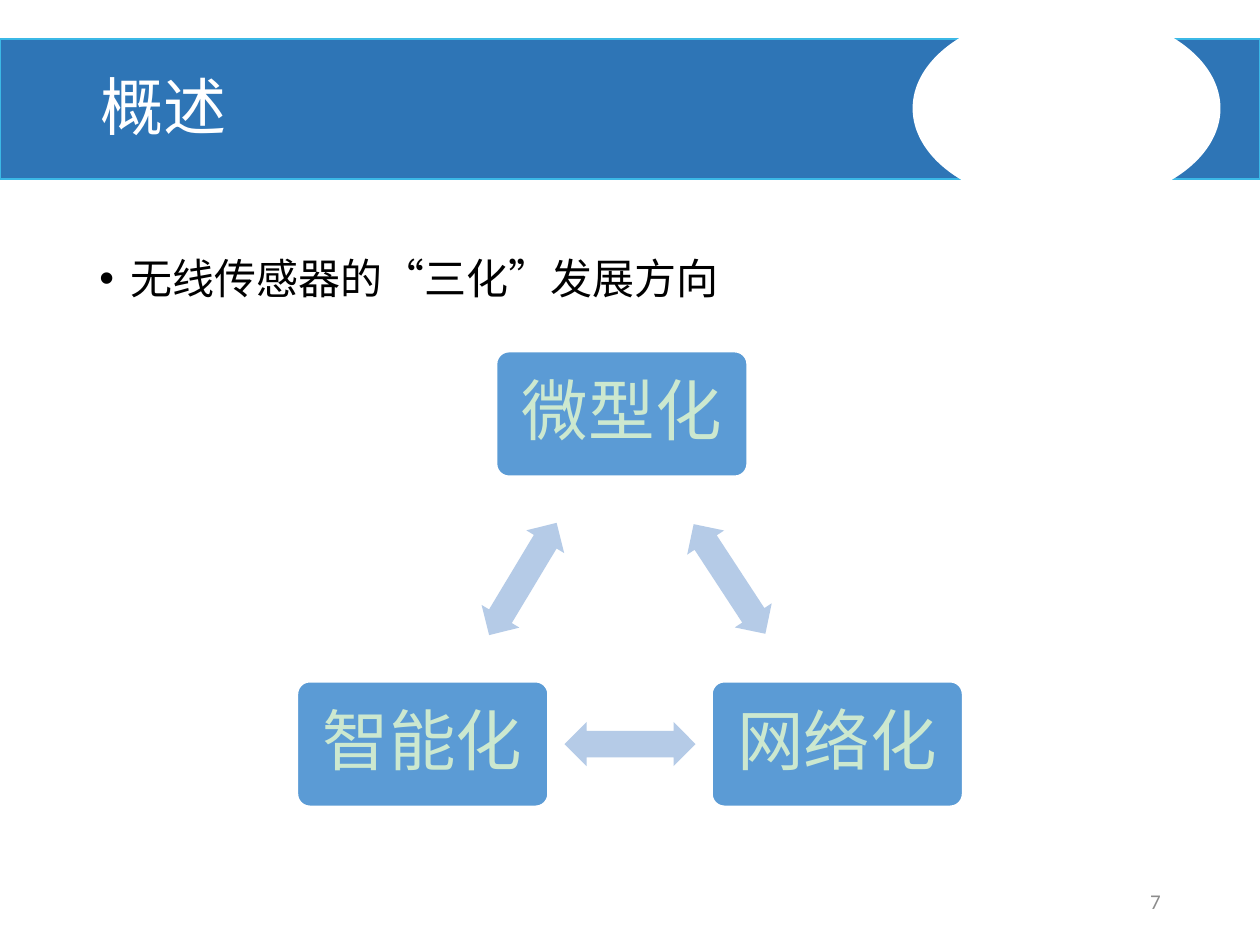
from typing import NamedTuple

from lxml import etree
from pptx import Presentation
from pptx.dml.color import RGBColor
from pptx.enum.shapes import MSO_SHAPE
from pptx.enum.text import MSO_ANCHOR, PP_ALIGN
from pptx.oxml.ns import qn
from pptx.util import Inches, Pt

RECT, ELLIPSE = MSO_SHAPE.RECTANGLE, MSO_SHAPE.OVAL
ROUND_RECT, ARROW = MSO_SHAPE.ROUNDED_RECTANGLE, MSO_SHAPE.LEFT_RIGHT_ARROW
TOP, MIDDLE = MSO_ANCHOR.TOP, MSO_ANCHOR.MIDDLE
LEFT, CENTER, RIGHT = PP_ALIGN.LEFT, PP_ALIGN.CENTER, PP_ALIGN.RIGHT

WHITE = RGBColor(0xFF, 0xFF, 0xFF)
BLACK = RGBColor(0x00, 0x00, 0x00)
GRAY = RGBColor(0x8C, 0x8C, 0x8C)
BAND_BLUE = RGBColor(0x2E, 0x75, 0xB6)
BAND_EDGE = RGBColor(0x3B, 0xB8, 0xE6)
NODE_BLUE = RGBColor(0x5B, 0x9B, 0xD5)
ARROW_BLUE = RGBColor(0xB5, 0xCB, 0xE7)
PALE_GREEN = RGBColor(0xCC, 0xE8, 0xCF)

CJK_FONT, LATIN_FONT = "Noto Sans CJK SC", "Calibri"
NODE_W, NODE_H = 1.99, 0.99
ARROW_W, ARROW_H = 1.04, 0.35


class Box(NamedTuple):
    left: float
    top: float
    width: float
    height: float


class Node(NamedTuple):
    text: str
    left: float
    top: float


class Arrow(NamedTuple):
    left: float
    top: float
    rotation: float


class TextStyle(NamedTuple):
    size: float
    color: RGBColor
    font: str = CJK_FONT
    align: PP_ALIGN = LEFT
    anchor: MSO_ANCHOR = MIDDLE
    line_spacing: float = 0.9


NODES = [
    Node("微型化", 3.94, 2.79),
    Node("网络化", 5.65, 5.41),
    Node("智能化", 2.36, 5.41),
]
ARROWS = [Arrow(5.27, 4.42, 56.8), Arrow(4.48, 5.73, 180), Arrow(3.63, 4.42, 301)]
NODE_STYLE = TextStyle(38, PALE_GREEN, LATIN_FONT, CENTER)


def add_filled(slide, kind, box: Box, fill: RGBColor, line: RGBColor | None = None):
    sp = slide.shapes.add_shape(kind, *map(Inches, box))
    sp.shadow.inherit = False
    sp.fill.solid()
    sp.fill.fore_color.rgb = fill
    if line is None:
        sp.line.fill.background()
    else:
        sp.line.color.rgb = line
        sp.line.width = Pt(1)
    return sp


def write(sp, text: str, style: TextStyle, bullet: bool = False):
    tf = sp.text_frame
    tf.word_wrap = True
    tf.vertical_anchor = style.anchor
    p = tf.paragraphs[0]
    p.alignment = style.align
    p.line_spacing = style.line_spacing
    if bullet:
        add_bullet(p)
    r = p.add_run()
    r.text = text
    font_format = {"size": Pt(style.size), "name": style.font}
    for name, value in font_format.items():
        setattr(r.font, name, value)
    r.font.color.rgb = style.color
    etree.SubElement(r.font._element, qn("a:ea"), typeface=CJK_FONT)
    return p


def add_bullet(p) -> None:
    pPr = p._p.get_or_add_pPr()
    pPr.set("marL", str(Inches(0.25)))
    pPr.set("indent", str(Inches(-0.25)))
    etree.SubElement(pPr, qn("a:buFont"), typeface="Arial")
    etree.SubElement(pPr, qn("a:buChar"), char="•")


def add_text(slide, box: Box, text: str, style: TextStyle, bullet: bool = False) -> None:
    write(slide.shapes.add_textbox(*map(Inches, box)), text, style, bullet)


def add_node(slide, node: Node) -> None:
    box = Box(node.left, node.top, NODE_W, NODE_H)
    sp = add_filled(slide, ROUND_RECT, box, NODE_BLUE, WHITE)
    sp.adjustments[0] = 0.1
    for side in ("left", "top", "right", "bottom"):
        setattr(sp.text_frame, f"margin_{side}", Inches(0.16))
    p = write(sp, node.text, NODE_STYLE)
    p.space_after = Pt(0.35 * NODE_STYLE.size)


def add_arrow(slide, arrow: Arrow) -> None:
    sp = add_filled(slide, ARROW, Box(arrow.left, arrow.top, ARROW_W, ARROW_H), ARROW_BLUE)
    sp.adjustments[0], sp.adjustments[1] = 0.6, 0.5
    sp.rotation = arrow.rotation


def main() -> None:
    prs = Presentation()
    prs.slide_width, prs.slide_height = Inches(10), Inches(7.5)
    slide = prs.slides.add_slide(prs.slide_layouts[6])
    slide.background.fill.solid()
    slide.background.fill.fore_color.rgb = WHITE

    add_filled(slide, RECT, Box(0, 0.31, 10, 1.11), BAND_BLUE, BAND_EDGE)
    add_filled(slide, ELLIPSE, Box(7.25, 0.09, 2.43, 1.54), WHITE, WHITE)
    add_text(slide, Box(0.69, 2, 8.62, 4.76), "无线传感器的“三化”发展方向",
             TextStyle(24, BLACK, anchor=TOP), bullet=True)
    add_text(slide, Box(7.06, 6.95, 2.25, 0.4), "7",
             TextStyle(12, GRAY, LATIN_FONT, RIGHT, line_spacing=1.0))
    add_text(slide, Box(0.7, 0.33, 6.36, 1.09), "概述", TextStyle(36, WHITE))

    for node, arrow in zip(NODES, ARROWS):
        add_node(slide, node)
        add_arrow(slide, arrow)

    prs.save("out.pptx")


if __name__ == "__main__":
    main()
